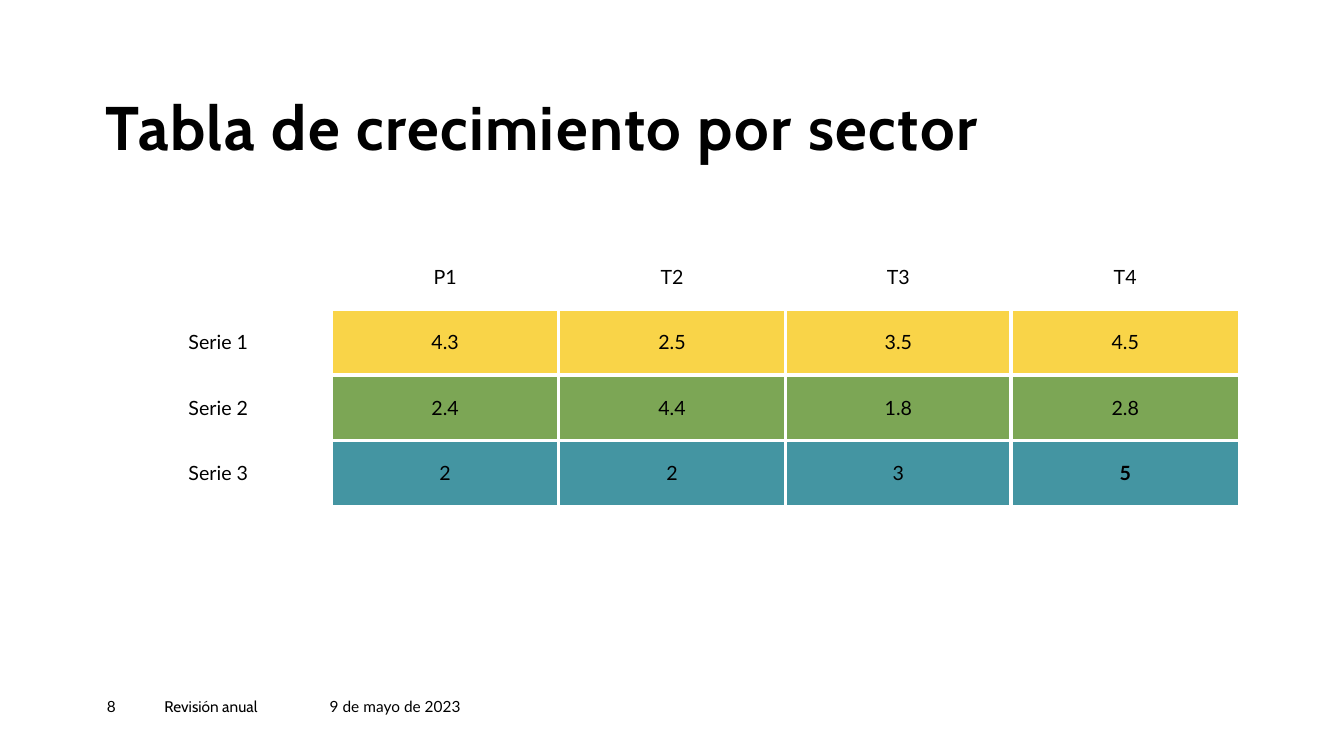
from lxml import etree
from pptx import Presentation
from pptx.dml.color import RGBColor
from pptx.enum.text import MSO_ANCHOR, PP_ALIGN
from pptx.oxml.ns import qn
from pptx.util import Inches, Pt

TOP, MIDDLE, BOTTOM = MSO_ANCHOR.TOP, MSO_ANCHOR.MIDDLE, MSO_ANCHOR.BOTTOM
LEFT, CENTER = PP_ALIGN.LEFT, PP_ALIGN.CENTER
TITLE_ONLY = 5

TITLE = "Tabla de crecimiento por sector"
COLUMN_WIDTHS = [2.25, 2.25, 2.25, 2.24, 2.26]
ROW_HEIGHT = 0.65
ROWS = [
    ("", "P1", "T2", "T3", "T4"),
    ("Serie 1", "4.3", "2.5", "3.5", "4.5"),
    ("Serie 2", "2.4", "4.4", "1.8", "2.8"),
    ("Serie 3", "2", "2", "3", "5"),
]
ROW_FILLS = [None, "F9D448", "7CA655", "4495A2"]
FOOTERS = [
    (1.06, 0.57, "8", "Lato"),
    (1.63, 1.64, "Revisión anual", "Cabin"),
    (3.27, 1.88, "9 de mayo de 2023", "Lato"),
]


def color(value):
    """Turn a hex string into a colour."""
    return RGBColor.from_string(value)


def apply(target, values):
    """Set each attribute of the target from a dict."""
    for name, value in values.items():
        setattr(target, name, value)


def border_widths(row, column):
    """Give the border widths of a cell, thickest between two values."""
    if row == 0:
        return {"lnL": 1, "lnR": 1, "lnT": 1, "lnB": 2.25}
    last_row, last_column = len(ROWS) - 1, len(COLUMN_WIDTHS) - 1
    inner = {
        "lnL": column > 1,
        "lnR": 0 < column < last_column,
        "lnT": column > 0 and row > 1,
        "lnB": column > 0 and row < last_row,
    }
    return {edge: 3 if thick else 2.25 for edge, thick in inner.items()}


class SlideBuilder:
    """Hold the style and the current slide."""

    ink = "000000"
    paper = "FFFFFF"
    body_font = "Lato"
    heading_font = "Cabin"
    no_margins = dict.fromkeys(
        ("margin_left", "margin_top", "margin_right", "margin_bottom"), 0)

    def __init__(self, presentation):
        """Add a title-only slide with a plain background."""
        layout = presentation.slide_layouts[TITLE_ONLY]
        self.slide = presentation.slides.add_slide(layout)
        fill = self.slide.background.fill
        fill.solid()
        fill.fore_color.rgb = color(self.paper)

    def add_label(self, frame, text, size, font, bold=False, alignment=LEFT):
        """Put in one formatted paragraph and return its run."""
        paragraph = frame.paragraphs[0]
        paragraph.alignment = alignment
        run = paragraph.add_run()
        run.text = text
        apply(run.font, {"size": Pt(size), "name": font, "bold": bold})
        run.font.color.rgb = color(self.ink)
        return run

    def title(self, text, left, top, width, height):
        """Place and format the title placeholder."""
        shape = self.slide.shapes.title
        apply(shape, {"left": Inches(left), "top": Inches(top),
                      "width": Inches(width), "height": Inches(height)})
        frame = shape.text_frame
        apply(frame, {**self.no_margins, "vertical_anchor": BOTTOM, "word_wrap": True})
        run = self.add_label(frame, text, 44, self.heading_font, bold=True)
        run._r.get_or_add_rPr().set("spc", "100")
        frame.paragraphs[0].line_spacing = 0.9

    def text(self, text, left, top, width, height, font):
        """Add a small text box without margins."""
        shape = self.slide.shapes.add_textbox(
            Inches(left), Inches(top), Inches(width), Inches(height))
        frame = shape.text_frame
        apply(frame, {**self.no_margins, "vertical_anchor": TOP, "word_wrap": True})
        self.add_label(frame, text, 11, font)

    def borders(self, cell, widths):
        """Draw the edges of a cell in the paper colour."""
        properties = cell._tc.get_or_add_tcPr()
        for index, (edge, width) in enumerate(widths.items()):
            line = etree.Element(qn(f"a:{edge}"), w=str(int(Pt(width))))
            fill = etree.SubElement(line, qn("a:solidFill"))
            etree.SubElement(fill, qn("a:srgbClr"), val=self.paper)
            properties.insert(index, line)

    def table(self, left, top):
        """Add the growth table."""
        table = self.slide.shapes.add_table(
            len(ROWS), len(COLUMN_WIDTHS), Inches(left), Inches(top),
            Inches(sum(COLUMN_WIDTHS)), Inches(ROW_HEIGHT * len(ROWS))).table
        apply(table, {"first_row": False, "horz_banding": False})
        for column, width in zip(table.columns, COLUMN_WIDTHS):
            column.width = Inches(width)
        for row, values in enumerate(ROWS):
            for column, value in enumerate(values):
                self.cell(table.cell(row, column), value, row, column)

    def cell(self, cell, value, row, column):
        """Fill, border and label one table cell."""
        cell.vertical_anchor = MIDDLE
        if ROW_FILLS[row] and column:
            cell.fill.solid()
            cell.fill.fore_color.rgb = color(ROW_FILLS[row])
        else:
            cell.fill.background()
        self.borders(cell, border_widths(row, column))
        if value:
            is_last = (row, column) == (len(ROWS) - 1, len(COLUMN_WIDTHS) - 1)
            self.add_label(cell.text_frame, value, 14, self.body_font, is_last, CENTER)


def main():
    """Build the slide and save it."""
    presentation = Presentation()
    apply(presentation, {"slide_width": Inches(13.33), "slide_height": Inches(7.5)})
    builder = SlideBuilder(presentation)
    builder.title(TITLE, 1.05, 0.96, 9.48, 0.67)
    builder.table(1.04, 2.42)
    for left, width, text, font in FOOTERS:
        builder.text(text, left, 6.92, width, 0.27, font)
    presentation.save("out.pptx")


if __name__ == "__main__":
    main()
